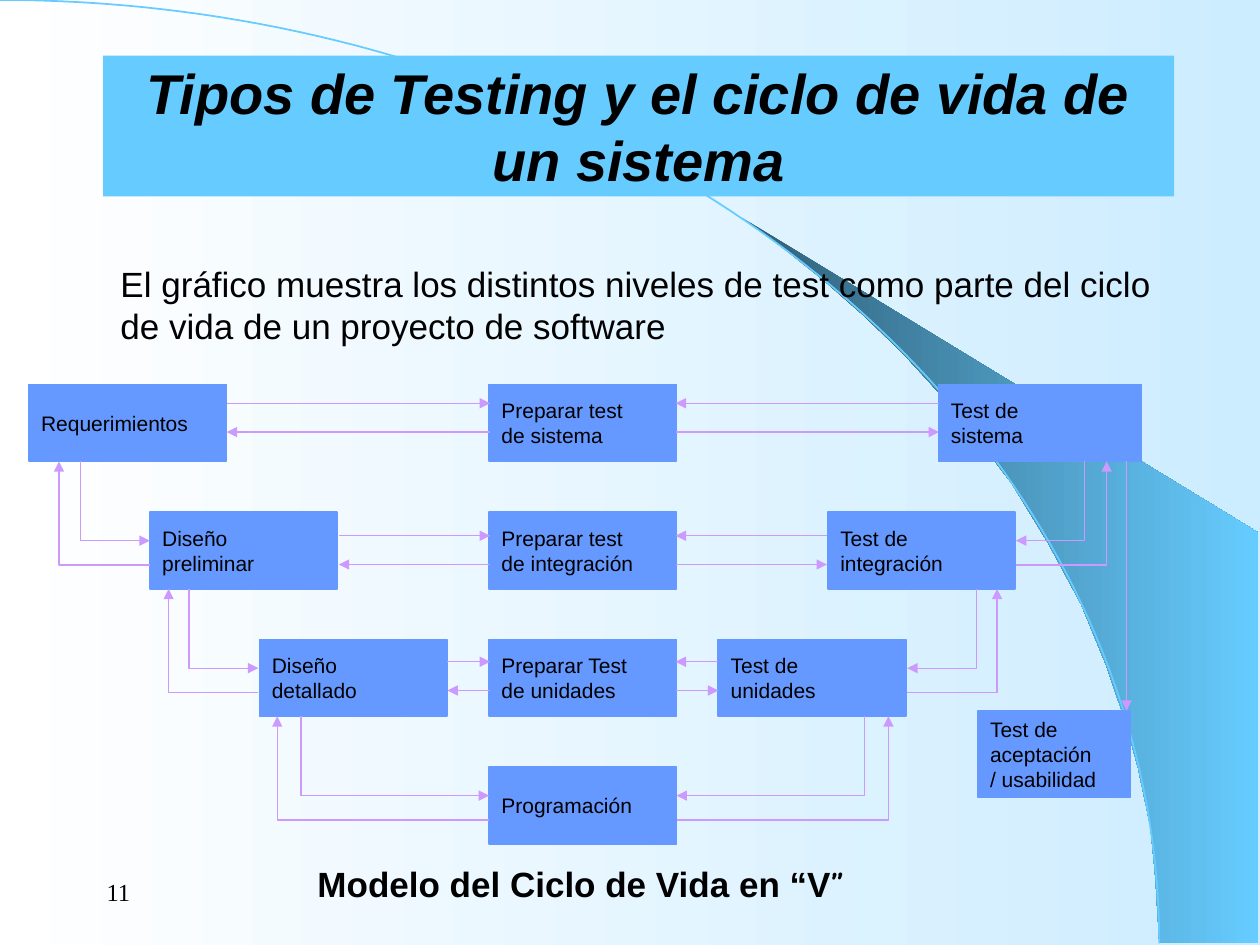
import math
from dataclasses import dataclass

from lxml import etree
from pptx import Presentation
from pptx.dml.color import RGBColor
from pptx.enum.shapes import MSO_CONNECTOR, MSO_SHAPE
from pptx.enum.text import MSO_ANCHOR, PP_ALIGN
from pptx.oxml.ns import qn
from pptx.util import Cm, Pt

RECTANGLE = MSO_SHAPE.RECTANGLE
STRAIGHT = MSO_CONNECTOR.STRAIGHT
TOP, MIDDLE = MSO_ANCHOR.TOP, MSO_ANCHOR.MIDDLE
LEFT, CENTER = PP_ALIGN.LEFT, PP_ALIGN.CENTER


@dataclass(frozen=True)
class Theme:
    text = RGBColor(0x00, 0x00, 0x00)
    white = RGBColor(0xFF, 0xFF, 0xFF)
    pale_blue = RGBColor(0xCC, 0xEC, 0xFF)
    sky = RGBColor(0x66, 0xCC, 0xFF)
    deep_blue = RGBColor(0x2F, 0x5E, 0x76)
    box = RGBColor(0x66, 0x99, 0xFF)
    arrow = RGBColor(0xCC, 0x99, 0xFF)
    font = "Arial"
    number_font = "Times New Roman"
    quote_font = "Comic Neue"
    title_size = Pt(32)
    body_size = Pt(20)
    number_size = Pt(14)
    box_size = Pt(12)


theme = Theme()


def set_text(shape, lines, size, anchor=MIDDLE, align=LEFT, font=theme.font):
    """Write one paragraph per line and return the last paragraph."""
    frame = shape.text_frame
    frame.word_wrap = True
    frame.vertical_anchor = anchor
    frame.text = "\n".join(lines)
    for paragraph in frame.paragraphs:
        paragraph.alignment = align
        paragraph.font.name = font
        paragraph.font.size = size
        paragraph.font.color.rgb = theme.text
    return paragraph


def style_arrow(shape):
    """Give a line or open path its colour and an arrowhead at its end."""
    shape.line.color.rgb = theme.arrow
    shape.line.width = Pt(0.75)
    properties = shape.element.spPr
    outline = properties.find(qn("a:ln"))
    etree.SubElement(outline, qn("a:tailEnd"), type="triangle")
    etree.SubElement(properties, qn("a:effectLst"))


presentation = Presentation()
presentation.slide_width = Cm(25.4)
presentation.slide_height = Cm(19.05)
blank_layout = presentation.slide_layouts[6]
slide = presentation.slides.add_slide(blank_layout)
shapes = slide.shapes

# Background with the curved band and the arc
background = slide.background.fill
band_points = [
    (23.37, 19), (25.37, 19.02), (25.37, 10.74), (14.96, 4.39), (15.85, 5.05),
    (16.59, 5.64), (17.4, 6.35), (18.19, 7.11), (19.35, 8.38), (20.4, 9.75),
    (21.13, 10.95), (21.79, 12.17), (22.3, 13.41), (22.68, 14.53),
    (22.94, 15.47), (23.19, 16.66), (23.29, 17.68),
]
points = [(Cm(x), Cm(y)) for x, y in band_points]
builder = shapes.build_freeform(*points[0])
builder.add_line_segments(points[1:], close=True)
band = builder.convert_to_shape()
band.shadow.inherit = False
band.line.fill.background()
for fill, start, end in (
    (background, theme.white, theme.pale_blue),
    (band.fill, theme.deep_blue, theme.sky),
):
    fill.gradient()
    fill.gradient_angle = 0
    fill.gradient_stops[0].color.rgb = start
    fill.gradient_stops[1].color.rgb = end

ARC_WIDTH, ARC_HEIGHT = 23.37, 19.02
angles = [math.radians(degree) for degree in range(91)]
points = [
    (Cm(ARC_WIDTH * math.sin(angle)), Cm(ARC_HEIGHT * (1 - math.cos(angle))))
    for angle in angles
]
builder = shapes.build_freeform(*points[0])
builder.add_line_segments(points[1:], close=False)
arc = builder.convert_to_shape()
arc.shadow.inherit = False
arc.fill.background()
arc.line.color.rgb = theme.sky
arc.line.width = Pt(1)

# Free text
number = shapes.add_textbox(Cm(1.9), Cm(17.35), Cm(5.28), Cm(1.27))
set_text(number, ["11"], theme.number_size, font=theme.number_font)

caption = shapes.add_textbox(Cm(6.15), Cm(17.27), Cm(13.31), Cm(1.09))
paragraph = set_text(
    caption, ["Modelo del Ciclo de Vida en “V"], theme.body_size, TOP)
paragraph.font.bold = True
closing_quote = paragraph.add_run()
closing_quote.text = "”"
closing_quote.font.name = theme.quote_font

intro = shapes.add_textbox(Cm(2.18), Cm(5.16), Cm(21.62), Cm(1.96))
set_text(
    intro,
    ["El gráfico muestra los distintos niveles de test como parte del ciclo "
     "de vida de un proyecto de software"],
    theme.body_size, TOP)

# Boxes of the V: left, top, width, height, lines
ROW_TOP, ROW_PITCH = 7.75, 2.57
BOX_WIDTH, BOX_HEIGHT = 3.78, 1.55
CENTER_LEFT = 9.86
row_tops = [ROW_TOP + ROW_PITCH * row for row in range(4)]
stages = [
    (0, 0.58, 3.99, ["Requerimientos"]),
    (1, 3.02, BOX_WIDTH, ["Diseño", "preliminar"]),
    (2, 5.23, BOX_WIDTH, ["Diseño", "detallado"]),
    (0, CENTER_LEFT, BOX_WIDTH, ["Preparar test", "de sistema"]),
    (1, CENTER_LEFT, BOX_WIDTH, ["Preparar test", "de integración"]),
    (2, CENTER_LEFT, BOX_WIDTH, ["Preparar Test", "de unidades"]),
    (3, CENTER_LEFT, BOX_WIDTH, ["Programación"]),
    (0, 18.92, 4.09, ["Test de", "sistema"]),
    (1, 16.69, BOX_WIDTH, ["Test de", "integración"]),
    (2, 14.48, BOX_WIDTH, ["Test de", "unidades"]),
]
boxes = [
    (left, row_tops[row], width, BOX_HEIGHT, lines)
    for row, left, width, lines in stages
]
boxes.append((19.71, 14.33, 3.07, 1.75,
              ["Test de", "aceptación", "/ usabilidad"]))
for left, top, width, height, lines in boxes:
    box = shapes.add_shape(
        RECTANGLE, Cm(left), Cm(top), Cm(width), Cm(height))
    box.shadow.inherit = False
    box.fill.solid()
    box.fill.fore_color.rgb = theme.box
    box.line.color.rgb = theme.box
    box.line.width = Pt(1)
    set_text(box, lines, theme.box_size)

# Arrows of the left half; the right half mirrors them
MIRROR_SUM = 23.5
ARROW_GAP = 0.58
level_arrows = [(4.57, 8.13), (6.83, 10.8), (9.02, 13.34)]  # start x, y
steps = [(1.63, 1.19, 3.02), (3.81, 3.4, 5.21), (6.07, 5.59, 9.86)]

straight_arrows = [((22.71, 9.3), (22.71, 14.33))]
elbow_arrows = []
for mirrored in (False, True):
    def_side = (lambda x: MIRROR_SUM - x) if mirrored else (lambda x: x)
    inner = def_side(9.88)
    for start, y in level_arrows:
        outer, back_y = def_side(start), y + ARROW_GAP
        straight_arrows.append(((outer, y), (inner, y)))
        straight_arrows.append(((inner, back_y), (outer, back_y)))
    for row, columns in enumerate(steps):
        down_x, up_x, next_x = map(def_side, columns)
        bottom = row_tops[row] + BOX_HEIGHT
        down_y, up_y = bottom + 1.6, bottom + 2.09
        elbow_arrows.append([(down_x, bottom), (down_x, down_y), (next_x, down_y)])
        elbow_arrows.append([(next_x, up_y), (up_x, up_y), (up_x, bottom)])

for (x1, y1), (x2, y2) in straight_arrows:
    style_arrow(shapes.add_connector(STRAIGHT, Cm(x1), Cm(y1), Cm(x2), Cm(y2)))

for corners in elbow_arrows:
    points = [(Cm(x), Cm(y)) for x, y in corners]
    builder = shapes.build_freeform(*points[0])
    builder.add_line_segments(points[1:], close=False)
    elbow = builder.convert_to_shape()
    elbow.fill.background()
    style_arrow(elbow)

# Title
title = shapes.add_shape(RECTANGLE, Cm(2.08), Cm(1.12), Cm(21.59), Cm(2.84))
title.shadow.inherit = False
title.fill.solid()
title.fill.fore_color.rgb = theme.sky
title.line.fill.background()
paragraph = set_text(
    title, ["Tipos de Testing y el ciclo de vida de un sistema"],
    theme.title_size, align=CENTER)
paragraph.font.bold = True
paragraph.font.italic = True

presentation.save("out.pptx")
